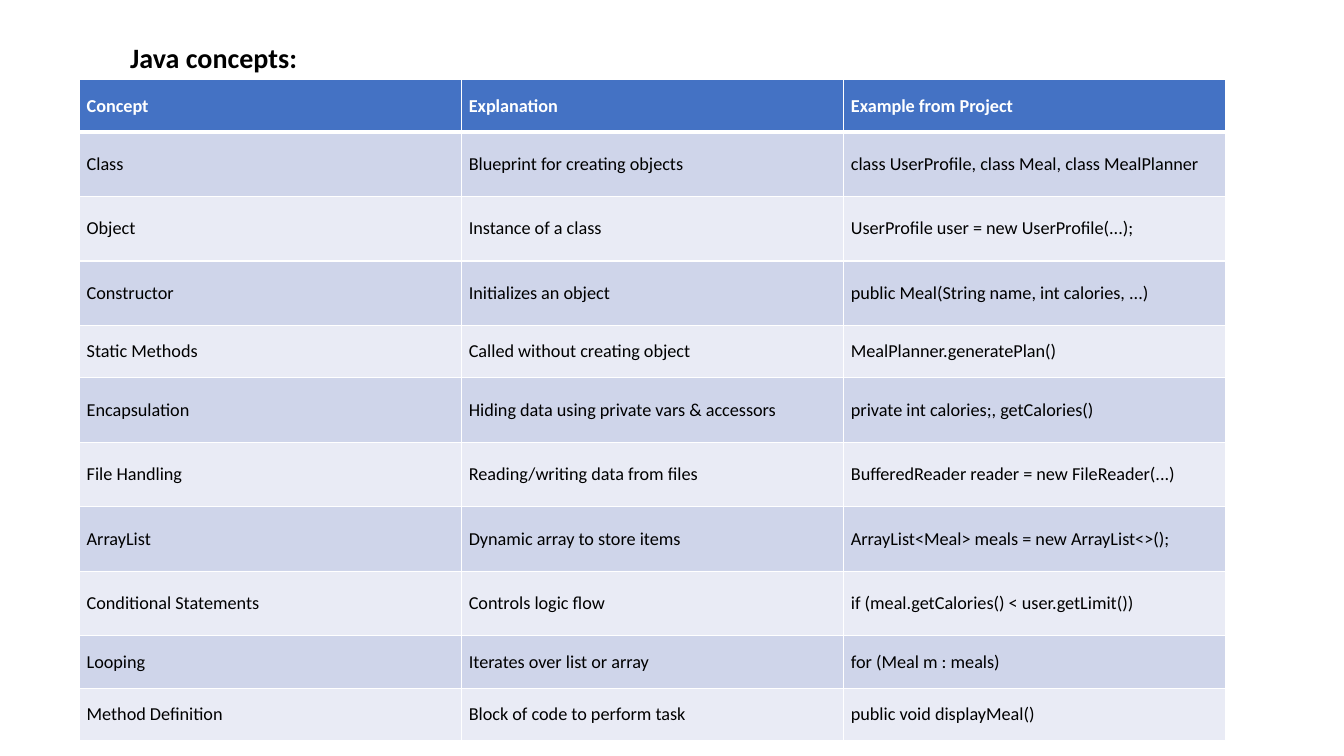
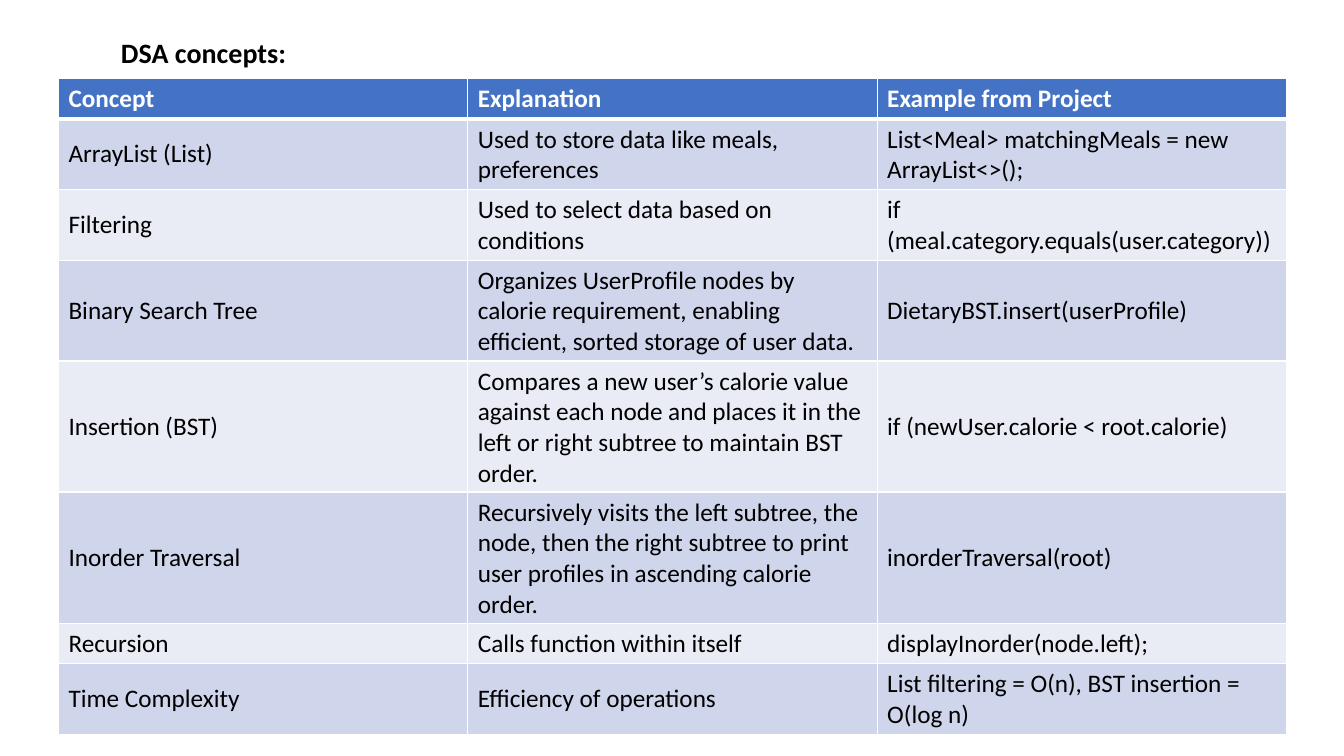
"""Build two slides that tabulate the Java and DSA concepts of a meal planner."""
import dataclasses

import lxml.etree
import pptx
import pptx.dml.color
import pptx.enum.text
import pptx.oxml.ns
import pptx.presentation
import pptx.slide
import pptx.table
import pptx.text.text
import pptx.util

Inches = pptx.util.Inches

FONT = "Calibri"
COLORS = {
    "header": "4472C4",
    "odd_row": "CFD5EA",
    "even_row": "E9EBF5",
    "rule": "FFFFFF",
    "header_text": "FFFFFF",
    "text": "000000",
}
HEADINGS = ("Concept", "Explanation", "Example from Project")
TITLE_SIZE = 20
TITLE_HEIGHT = 0.44
THIN_RULE, THICK_RULE = 1, 3


@dataclasses.dataclass(frozen=True)
class Concept:
    name: str
    explanation: str
    example: str
    height: float


@dataclasses.dataclass(frozen=True)
class ConceptSlide:
    title: str
    title_left: float
    title_top: float
    title_width: float
    table_left: float
    table_top: float
    column_width: float
    header_height: float
    text_size: int
    margin_x: float
    margin_y: float
    concepts: tuple[Concept, ...]


JAVA = ConceptSlide(
    title="Java concepts:",
    title_left=1.19, title_top=0.35, title_width=4.96,
    table_left=0.79, table_top=0.79, column_width=3.79, header_height=0.52,
    text_size=13, margin_x=0.07, margin_y=0.04,
    concepts=(
        Concept("Class", "Blueprint for creating objects",
                "class UserProfile, class Meal, class MealPlanner", 0.64),
        Concept("Object", "Instance of a class",
                "UserProfile user = new UserProfile(...);", 0.64),
        Concept("Constructor", "Initializes an object",
                "public Meal(String name, int calories, ...)", 0.64),
        Concept("Static Methods", "Called without creating object",
                "MealPlanner.generatePlan()", 0.52),
        Concept("Encapsulation", "Hiding data using private vars & accessors",
                "private int calories;, getCalories()", 0.64),
        Concept("File Handling", "Reading/writing data from files",
                "BufferedReader reader = new FileReader(...)", 0.64),
        Concept("ArrayList", "Dynamic array to store items",
                "ArrayList<Meal> meals = new ArrayList<>();", 0.64),
        Concept("Conditional Statements", "Controls logic flow",
                "if (meal.getCalories() < user.getLimit())", 0.64),
        Concept("Looping", "Iterates over list or array",
                "for (Meal m : meals)", 0.52),
        Concept("Method Definition", "Block of code to perform task",
                "public void displayMeal()", 0.52),
    ),
)

DSA = ConceptSlide(
    title="DSA concepts:",
    title_left=1.1, title_top=0.3, title_width=4.18,
    table_left=0.58, table_top=0.78, column_width=4.06, header_height=0.4,
    text_size=18, margin_x=0.1, margin_y=0.05,
    concepts=(
        Concept("ArrayList (List)", "Used to store data like meals, preferences",
                "List<Meal> matchingMeals = new ArrayList<>();", 0.69),
        Concept("Filtering", "Used to select data based on conditions",
                "if (meal.category.equals(user.category))", 0.69),
        Concept("Binary Search Tree",
                "Organizes UserProfile nodes by calorie requirement, enabling "
                "efficient, sorted storage of user data.",
                "DietaryBST.insert(userProfile)", 0.99),
        Concept("Insertion (BST)",
                "Compares a new user’s calorie value against each node and places "
                "it in the left or right subtree to maintain BST order.",
                "if (newUser.calorie < root.calorie)", 1.29),
        Concept("Inorder Traversal",
                "Recursively visits the left subtree, the node, then the right "
                "subtree to print user profiles in ascending calorie order.",
                "inorderTraversal(root)", 1.29),
        Concept("Recursion", "Calls function within itself",
                "displayInorder(node.left);", 0.4),
        Concept("Time Complexity", "Efficiency of operations",
                "List filtering = O(n), BST insertion = O(log n)", 0.69),
    ),
)


def rgb(name: str) -> pptx.dml.color.RGBColor:
    return pptx.dml.color.RGBColor.from_string(COLORS[name])


def write_text(frame: pptx.text.text.TextFrame, text: str, *, size: int,
               color: str = "text", bold: bool = False) -> None:
    paragraph = frame.paragraphs[0]
    paragraph.alignment = pptx.enum.text.PP_ALIGN.LEFT
    run = paragraph.add_run()
    run.text = text
    run.font.name = FONT
    run.font.size = pptx.util.Pt(size)
    run.font.bold = bold
    run.font.color.rgb = rgb(color)


def rule_cell(cell: pptx.table._Cell, *, top: int, bottom: int) -> None:
    qn = pptx.oxml.ns.qn
    properties = cell._tc.get_or_add_tcPr()
    widths = {"a:lnL": THIN_RULE, "a:lnR": THIN_RULE, "a:lnT": top, "a:lnB": bottom}
    for side, width in widths.items():
        rule = lxml.etree.SubElement(properties, qn(side), w=str(pptx.util.Pt(width)))
        paint = lxml.etree.SubElement(rule, qn("a:solidFill"))
        lxml.etree.SubElement(paint, qn("a:srgbClr"), val=COLORS["rule"])


def add_title(slide: pptx.slide.Slide, content: ConceptSlide) -> None:
    title = slide.shapes.title
    title.left, title.top = Inches(content.title_left), Inches(content.title_top)
    title.width, title.height = Inches(content.title_width), Inches(TITLE_HEIGHT)
    frame = title.text_frame
    frame.word_wrap = True
    frame.auto_size = pptx.enum.text.MSO_AUTO_SIZE.SHAPE_TO_FIT_TEXT
    frame.vertical_anchor = pptx.enum.text.MSO_ANCHOR.TOP
    write_text(frame, content.title, size=TITLE_SIZE, bold=True)


def add_concept_table(slide: pptx.slide.Slide, content: ConceptSlide) -> None:
    rows = [HEADINGS] + [(c.name, c.explanation, c.example) for c in content.concepts]
    heights = [content.header_height] + [c.height for c in content.concepts]
    table = slide.shapes.add_table(
        len(rows), len(HEADINGS),
        Inches(content.table_left), Inches(content.table_top),
        Inches(content.column_width * len(HEADINGS)), Inches(sum(heights)),
    ).table
    table.horz_banding = False
    for column in table.columns:
        column.width = Inches(content.column_width)
    for index, (texts, height) in enumerate(zip(rows, heights)):
        header = index == 0
        band = "header" if header else "odd_row" if index % 2 else "even_row"
        table.rows[index].height = Inches(height)
        for cell, text in zip(table.rows[index].cells, texts):
            cell.margin_left = cell.margin_right = Inches(content.margin_x)
            cell.margin_top = cell.margin_bottom = Inches(content.margin_y)
            cell.vertical_anchor = pptx.enum.text.MSO_ANCHOR.MIDDLE
            rule_cell(cell, top=THICK_RULE if index == 1 else THIN_RULE,
                      bottom=THICK_RULE if header else THIN_RULE)
            cell.fill.solid()
            cell.fill.fore_color.rgb = rgb(band)
            write_text(cell.text_frame, text, size=content.text_size,
                       color="header_text" if header else "text", bold=header)


def add_concept_slide(deck: pptx.presentation.Presentation,
                      content: ConceptSlide) -> None:
    slide = deck.slides.add_slide(deck.slide_layouts.get_by_name("Title Only"))
    add_title(slide, content)
    add_concept_table(slide, content)


def main() -> None:
    deck = pptx.Presentation()
    deck.slide_width, deck.slide_height = Inches(13.33), Inches(7.5)
    for content in (JAVA, DSA):
        add_concept_slide(deck, content)
    deck.save("out.pptx")


if __name__ == "__main__":
    main()
